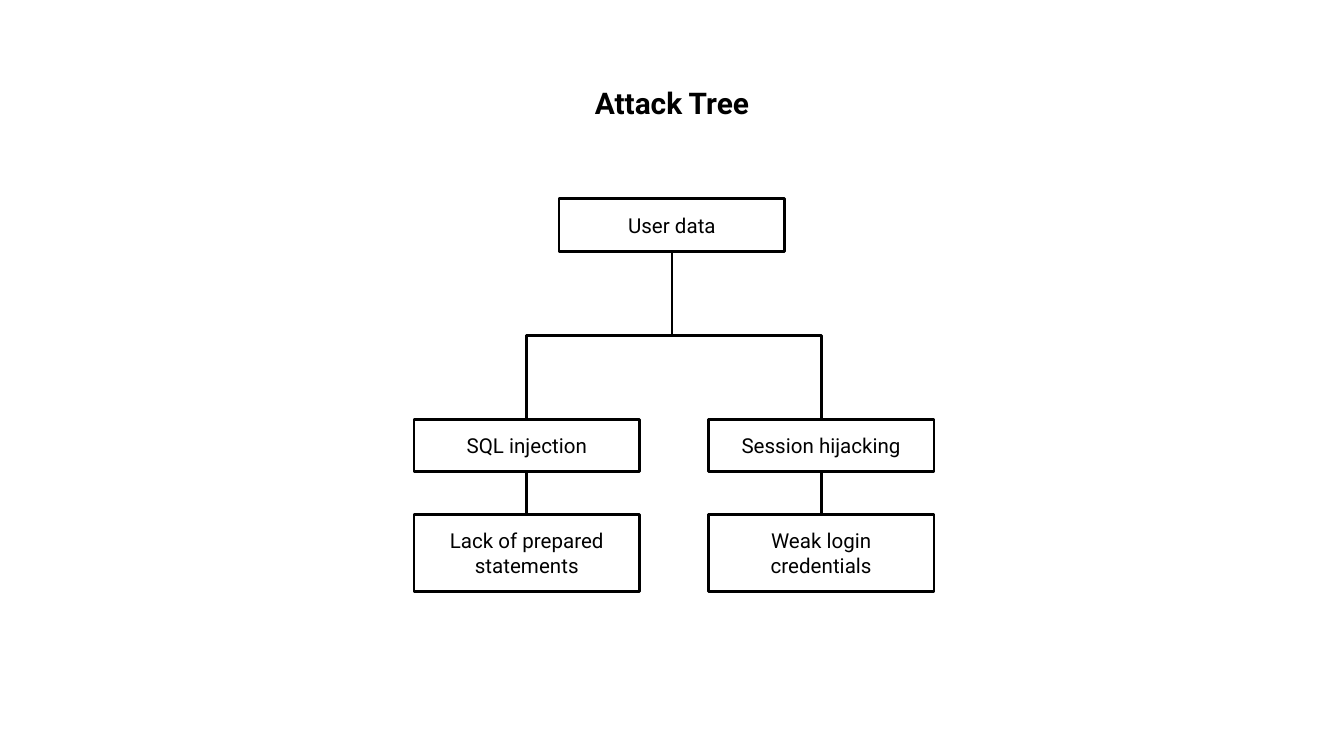
from pptx import Presentation
from pptx.dml.color import RGBColor
from pptx.enum.shapes import MSO_CONNECTOR as CONN, MSO_SHAPE as SHAPE
from pptx.enum.text import MSO_ANCHOR as ANCHOR, MSO_AUTO_SIZE as FIT, PP_ALIGN as ALIGN
from pptx.oxml.ns import qn
from pptx.util import Inches, Pt
from lxml import etree

BLACK = "000000"
BOX_W, BOX_H, CAUSE_H = 1.68, 0.39, 0.57
ROOT_X, LEFT_X, RIGHT_X = 5, 3.92, 6.11
ROOT_Y, ATTACK_Y, CAUSE_Y = 1.48, 3.12, 3.83


def paint(fmt, color):
    fmt.solid()
    fmt.fore_color.rgb = RGBColor.from_string(color)


def write(sp, text, size, bold=False, anchor=ANCHOR.MIDDLE):
    tf = sp.text_frame
    margins = {f"margin_{m}": Inches(0.1) for m in ("left", "top", "right", "bottom")}
    for k, v in {**margins, "word_wrap": True, "vertical_anchor": anchor,
                 "auto_size": FIT.SHAPE_TO_FIT_TEXT}.items():
        setattr(tf, k, v)
    p = tf.paragraphs[0]
    p.alignment = ALIGN.CENTER
    r = p.add_run()
    r.text = text
    for k, v in {"name": "Roboto", "size": Pt(size), "bold": bold}.items():
        setattr(r.font, k, v)
    paint(r.font.fill, BLACK)


# Widescreen slide, 16:9
prs = Presentation()
prs.slide_width, prs.slide_height = Inches(10), Inches(10 * 9 / 16)
s = prs.slides.add_slide(prs.slide_layouts[6])
paint(s.background.fill, "FFFFFF")

# Title
title = s.shapes.add_textbox(Inches(1.3), Inches(0.53), Inches(7.4), Inches(0.47))
write(title, "Attack Tree", 16, bold=True, anchor=ANCHOR.TOP)

# Boxes: center x, top, height, text
nodes = [
    (ROOT_X, ROOT_Y, BOX_H, "User data"),
    (LEFT_X, ATTACK_Y, BOX_H, "SQL injection"),
    (LEFT_X, CAUSE_Y, CAUSE_H, "Lack of prepared statements"),
    (RIGHT_X, ATTACK_Y, BOX_H, "Session hijacking"),
    (RIGHT_X, CAUSE_Y, CAUSE_H, "Weak login credentials"),
]
boxes = []
for x, y, h, text in nodes:
    sp = s.shapes.add_shape(SHAPE.RECTANGLE, Inches(x - BOX_W / 2), Inches(y),
                            Inches(BOX_W), Inches(h))
    sp.shadow.inherit = False
    sp.fill.background()
    paint(sp.line.fill, BLACK)
    sp.line.width = Pt(1.5)
    write(sp, text, 11)
    boxes.append(sp)

# Connectors from the bottom of a parent to the top of its child
for parent, child in [(0, 1), (0, 3), (1, 2), (3, 4)]:
    (x1, top, h, _), (x2, y2, _, _) = nodes[parent], nodes[child]
    y1 = top + h
    kind = CONN.STRAIGHT if x1 == x2 else CONN.ELBOW
    c = s.shapes.add_connector(kind, Inches(x1), Inches(y1), Inches(x2), Inches(y2))
    c.begin_connect(boxes[parent], 2)
    c.end_connect(boxes[child], 0)
    paint(c.line.fill, BLACK)
    c.line.width = Pt(1.5)
    spPr = c._element.spPr
    etree.SubElement(spPr, qn("a:effectLst"))
    if kind == CONN.ELBOW:
        # A quarter turn makes the elbow leave its parent vertically
        w, h = y2 - y1, abs(x2 - x1)
        frame = {"left": (x1 + x2 - w) / 2, "top": (y1 + y2 - h) / 2, "width": w, "height": h}
        for k, v in frame.items():
            setattr(c, k, Inches(v))
        xfrm = spPr.find(qn("a:xfrm"))
        xfrm.set("rot", "16200000" if x2 > x1 else "5400000")
        xfrm.set("flipH", "1" if x2 > x1 else "0")

prs.save("out.pptx")
